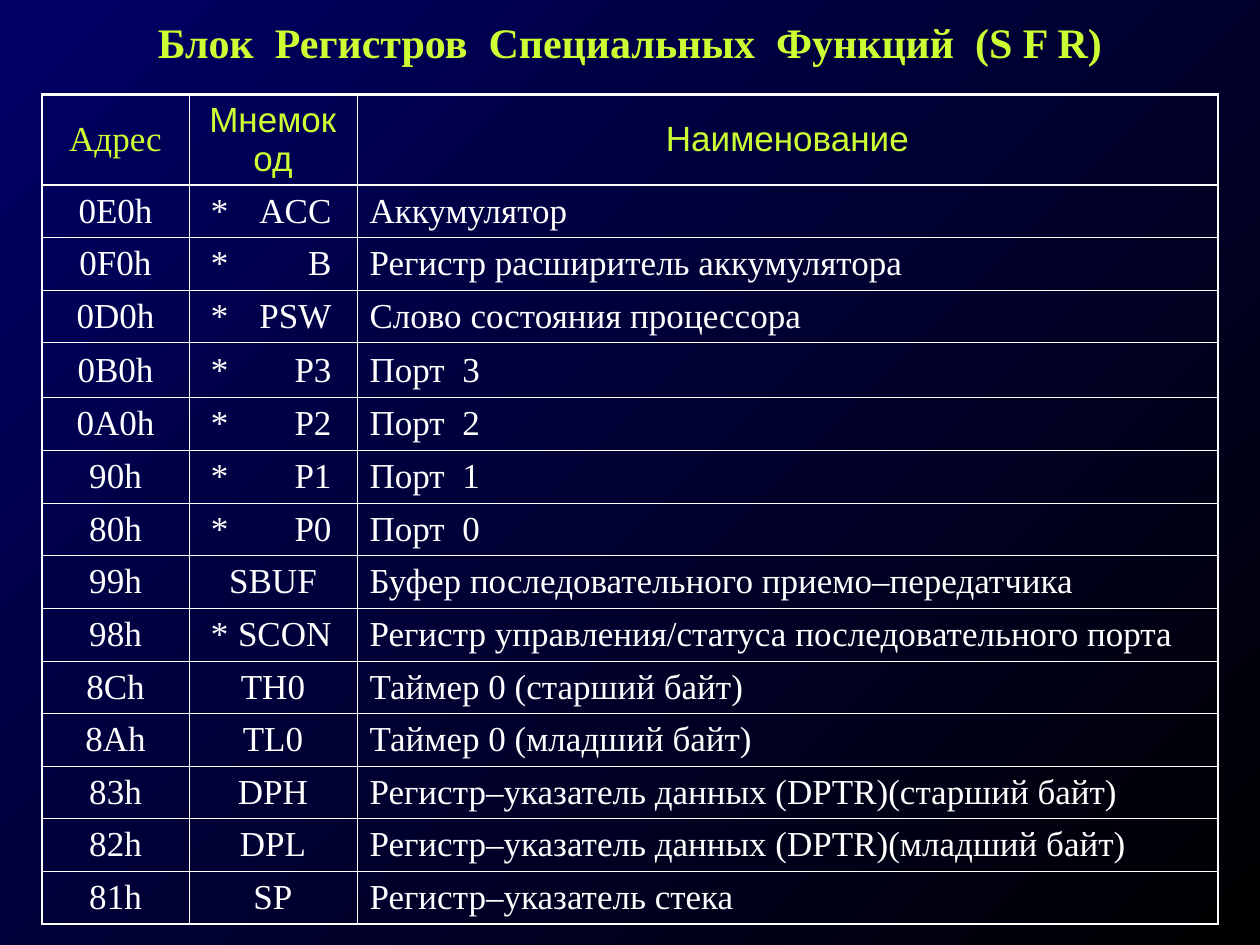
"""Build a slide listing the special function registers of a microcontroller."""
from lxml import etree
from pptx import Presentation
from pptx.dml.color import RGBColor
from pptx.enum.text import MSO_ANCHOR, PP_ALIGN
from pptx.oxml.ns import qn
from pptx.util import Pt

LEFT, CENTER = PP_ALIGN.LEFT, PP_ALIGN.CENTER
MIDDLE = MSO_ANCHOR.MIDDLE
NAVY = RGBColor(0x00, 0x00, 0x66)
BLACK = RGBColor(0x00, 0x00, 0x00)
LIME = RGBColor(0xCC, 0xFF, 0x33)
WHITE = RGBColor(0xFF, 0xFF, 0xFF)
SERIF, SANS = "Times New Roman", "Arial"
THIN, THICK = Pt(0.45), Pt(1.47)

TITLE = "Блок  Регистров  Специальных  Функций  (S F R)"
HEADERS = [("Адрес", SERIF), ("Мнемокод", SANS), ("Наименование", SANS)]
REGISTERS = [
    ("0E0h", "*\tACC", "Аккумулятор"),
    ("0F0h", "*\tB", "Регистр расширитель аккумулятора"),
    ("0D0h", "*\tPSW", "Слово состояния процессора"),
    ("0B0h", "*\tP3", "Порт  3"),
    ("0A0h", "*\tP2", "Порт  2"),
    ("90h", "*\tP1", "Порт  1"),
    ("80h", "*\tP0", "Порт  0"),
    ("99h", "SBUF", "Буфер последовательного приемо–передатчика"),
    ("98h", "*\tSCON", "Регистр управления/статуса последовательного порта"),
    ("8Ch", "TH0", "Таймер 0 (старший байт)"),
    ("8Ah", "TL0", "Таймер 0 (младший байт)"),
    ("83h", "DPH", "Регистр–указатель данных (DPTR)(старший байт)"),
    ("82h", "DPL", "Регистр–указатель данных (DPTR)(младший байт)"),
    ("81h", "SP", "Регистр–указатель стека"),
]
COLUMN_WIDTHS = [Pt(84), Pt(96), Pt(492)]
HEADER_HEIGHT, ROW_HEIGHT, PORT_ROW_HEIGHT = Pt(51.7), Pt(30.1), Pt(31.4)
PORT_ROW = 4
STAR_MARGIN, MNEMONIC_TAB = Pt(12.5), Pt(69)


def write_text(frame, text, *, font=SERIF, size=20, color=WHITE, bold=False,
               align=CENTER, space_before=0, right_tab=None):
    """Fill a text frame with one formatted paragraph."""
    frame.word_wrap = True
    paragraph = frame.paragraphs[0]
    paragraph.alignment = align
    paragraph.space_before = Pt(space_before)
    run = paragraph.add_run()
    run.text = text
    run.font.name = font
    run.font.size = Pt(size)
    run.font.bold = bold
    run.font.color.rgb = color
    if right_tab is not None:
        properties = paragraph._p.get_or_add_pPr()
        tabs = etree.SubElement(properties, qn("a:tabLst"))
        etree.SubElement(tabs, qn("a:tab"), pos=str(int(right_tab)), algn="r")


def set_borders(cell, widths):
    """Draw white borders in the order left, right, top, bottom."""
    properties = cell._tc.get_or_add_tcPr()
    for side, width in zip("LRTB", widths):
        line = etree.SubElement(properties, qn(f"a:ln{side}"), w=str(int(width)))
        fill = etree.SubElement(line, qn("a:solidFill"))
        etree.SubElement(fill, qn("a:srgbClr"), val=str(WHITE))


def set_background(slide):
    """Shade the slide diagonally from navy to black."""
    fill = slide.background.fill
    fill.gradient()
    fill.gradient_angle = 315
    for stop, color in zip(fill.gradient_stops, (NAVY, BLACK)):
        stop.color.rgb = color


def add_title(slide):
    """Place the title across the top of the slide."""
    title = slide.shapes.title
    title.left, title.top, title.width, title.height = Pt(0), Pt(0), Pt(720), Pt(48)
    title.text_frame.vertical_anchor = MIDDLE
    write_text(title.text_frame, TITLE, size=24, color=LIME, bold=True)


def fill_header(cell, header):
    """Write one column heading."""
    text, font = header
    cell.margin_top = cell.margin_bottom = Pt(2.8)
    write_text(cell.text_frame, text, font=font, color=LIME, space_before=5)


def fill_register(cell, text, column):
    """Write one register value, with starred mnemonics set on a right tab."""
    starred = "\t" in text
    if starred:
        cell.margin_left = STAR_MARGIN
    write_text(cell.text_frame, text, space_before=5,
               align=LEFT if starred or column == 2 else CENTER,
               right_tab=MNEMONIC_TAB if starred else None)


def add_register_table(slide):
    """Add the table of registers."""
    rows = [HEADERS] + REGISTERS
    last_row, last_column = len(rows) - 1, len(COLUMN_WIDTHS) - 1
    heights = [HEADER_HEIGHT] + [ROW_HEIGHT] * last_row
    heights[PORT_ROW] = PORT_ROW_HEIGHT
    table = slide.shapes.add_table(len(rows), len(COLUMN_WIDTHS), Pt(24), Pt(54),
                                   sum(COLUMN_WIDTHS), sum(heights)).table
    table.first_row = table.horz_banding = False
    for column, width in zip(table.columns, COLUMN_WIDTHS):
        column.width = width
    for row_index, values in enumerate(rows):
        table.rows[row_index].height = heights[row_index]
        for column_index, value in enumerate(values):
            cell = table.cell(row_index, column_index)
            cell.vertical_anchor = MIDDLE
            heavy = (column_index == 0, column_index == last_column,
                     row_index <= 1, row_index in (0, last_row))
            set_borders(cell, [THICK if edge else THIN for edge in heavy])
            cell.fill.background()
            if row_index == 0:
                fill_header(cell, value)
            else:
                fill_register(cell, value, column_index)


def main():
    """Build and save the presentation."""
    presentation = Presentation()
    presentation.slide_width, presentation.slide_height = Pt(720), Pt(540)
    slide = presentation.slides.add_slide(presentation.slide_layouts[5])
    set_background(slide)
    add_register_table(slide)
    add_title(slide)
    presentation.save("out.pptx")


if __name__ == "__main__":
    main()
